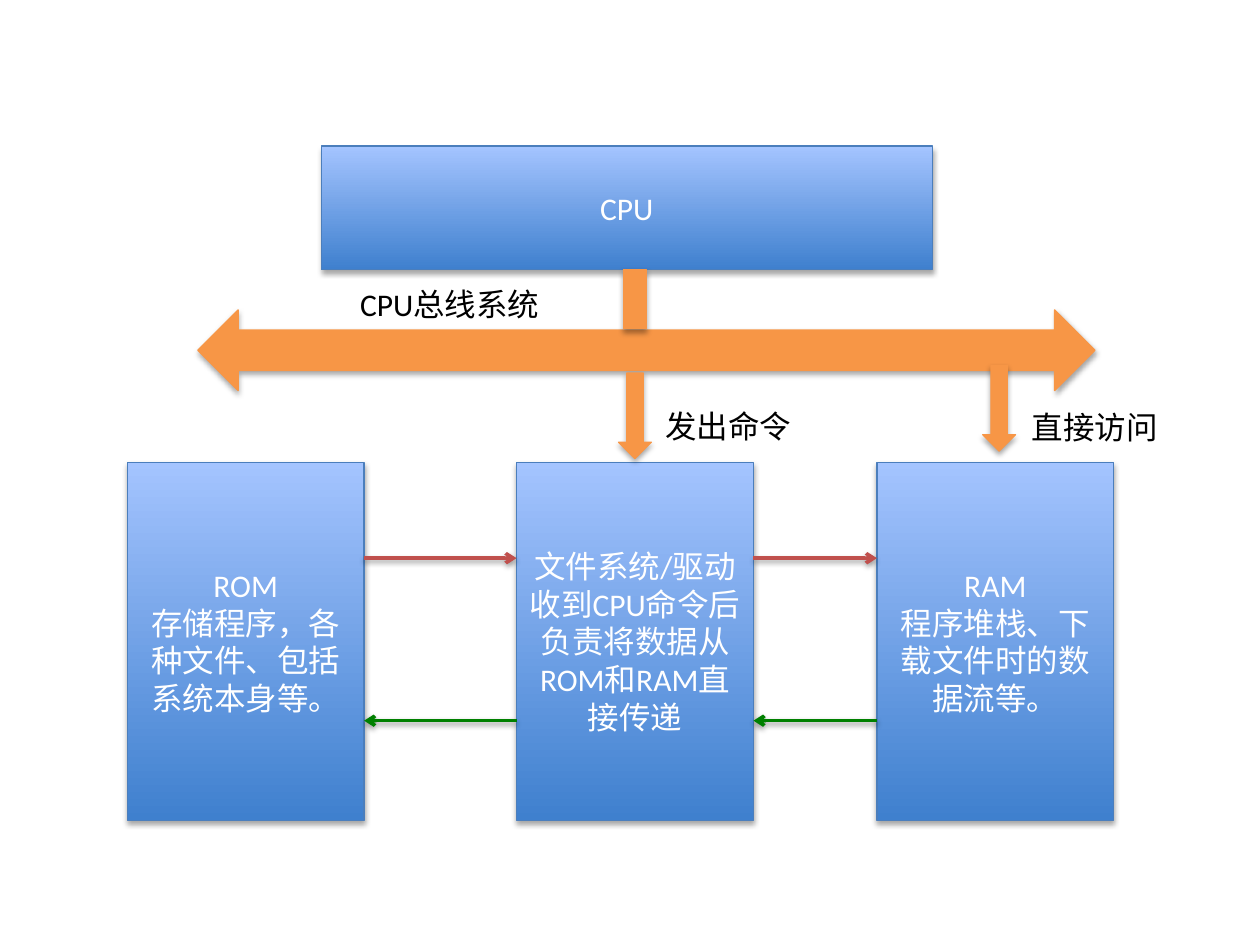
from lxml import etree
from pptx import Presentation
from pptx.dml.color import RGBColor
from pptx.enum.shapes import MSO_CONNECTOR, MSO_SHAPE
from pptx.enum.text import MSO_ANCHOR, PP_ALIGN
from pptx.oxml.ns import qn
from pptx.util import Inches, Pt

RECT = MSO_SHAPE.RECTANGLE
DOWN_ARROW = MSO_SHAPE.DOWN_ARROW
BUS_ARROW = MSO_SHAPE.LEFT_RIGHT_ARROW
STRAIGHT = MSO_CONNECTOR.STRAIGHT

COLORS = {
    "block_dark": "3F80CE",
    "block_light": "A4C4FF",
    "block_line": "4B7EBC",
    "bus": "F79646",
    "load": "C0504D",
    "store": "008000",
    "white": "FFFFFF",
    "black": "000000",
}
FONT = "Calibri"
BLOCK_TOP, BLOCK_WIDTH, BLOCK_HEIGHT = 3.67, 1.88, 2.84
ROM_LEFT, DRIVER_LEFT, RAM_LEFT = 1.01, 4.1, 6.96
LOAD_Y, STORE_Y = 4.43, 5.72


def color(name):
    return RGBColor.from_string(COLORS[name])


def add_shadow(effects, distance, opacity):
    """Put a soft downward shadow into an effect list."""
    shadow = etree.SubElement(
        effects, qn("a:outerShdw"), blurRad="40000", dist=str(distance),
        dir="5400000", rotWithShape="0")
    tint = etree.SubElement(shadow, qn("a:srgbClr"), val=COLORS["black"])
    etree.SubElement(tint, qn("a:alpha"), val=str(opacity * 1000))


def write(frame, lines, color_name, align):
    frame.word_wrap = True
    for index, line in enumerate(lines):
        para = frame.paragraphs[0] if index == 0 else frame.add_paragraph()
        para.alignment = align
        span = para.add_run()
        span.text = line
        span.font.name = FONT
        span.font.size = Pt(18)
        span.font.color.rgb = color(color_name)


def add_shape(page, kind, place, line_name):
    shape = page.shapes.add_shape(kind, *map(Inches, place))
    shape.line.color.rgb = color(line_name)
    shape.line.width = Pt(0.75)
    shape.shadow.inherit = False
    add_shadow(shape._element.spPr.find(qn("a:effectLst")), 23000, 35)
    return shape


def add_block(page, place, lines):
    block = add_shape(page, RECT, place, "block_line")
    block.fill.gradient()
    block.fill.gradient_angle = 90
    for stop, name, position in zip(block.fill.gradient_stops,
                                    ("block_dark", "block_light"), (0, 1)):
        stop.color.rgb = color(name)
        stop.position = position
    block.text_frame.vertical_anchor = MSO_ANCHOR.MIDDLE
    write(block.text_frame, lines, "white", PP_ALIGN.CENTER)


def add_bus_part(page, kind, place):
    part = add_shape(page, kind, place, "bus")
    part.fill.solid()
    part.fill.fore_color.rgb = color("bus")


def add_flow(page, start, end, y, color_name):
    """Draw a horizontal arrow that ends with an open head."""
    flow = page.shapes.add_connector(
        STRAIGHT, Inches(start), Inches(y), Inches(end), Inches(y))
    flow.line.color.rgb = color(color_name)
    flow.line.width = Pt(2)
    etree.SubElement(flow.line._get_or_add_ln(), qn("a:tailEnd"), type="arrow")
    effects = etree.SubElement(flow._element.spPr, qn("a:effectLst"))
    add_shadow(effects, 20000, 38)


def add_label(page, left, top, width, text):
    box = page.shapes.add_textbox(*map(Inches, (left, top, width, 0.4)))
    write(box.text_frame, [text], "black", PP_ALIGN.LEFT)


def main():
    deck = Presentation()
    deck.slide_width, deck.slide_height = Inches(10), Inches(7.5)
    page = deck.slides.add_slide(deck.slide_layouts[6])

    add_block(page, (2.55, 1.16, 4.85, 0.98), ["CPU"])
    for left, lines in (
        (DRIVER_LEFT, ["文件系统/驱动", "收到CPU命令后负责将数据从ROM和RAM直接传递"]),
        (RAM_LEFT, ["RAM", "程序堆栈、下载文件时的数据流等。"]),
        (ROM_LEFT, ["ROM", "存储程序，各种文件、包括系统本身等。"]),
    ):
        add_block(page, (left, BLOCK_TOP, BLOCK_WIDTH, BLOCK_HEIGHT), lines)

    add_bus_part(page, BUS_ARROW, (1.57, 2.46, 7.12, 0.64))
    add_bus_part(page, DOWN_ARROW, (4.91, 2.96, 0.26, 0.68))
    add_bus_part(page, DOWN_ARROW, (7.8, 2.9, 0.26, 0.68))
    add_bus_part(page, RECT, (4.95, 2.14, 0.18, 0.47))

    for source, target in ((ROM_LEFT, DRIVER_LEFT), (DRIVER_LEFT, RAM_LEFT)):
        edge = source + BLOCK_WIDTH
        add_flow(page, edge, target, LOAD_Y, "load")
        add_flow(page, target, edge, STORE_Y, "store")

    add_label(page, 2.76, 2.21, 1.64, "CPU总线系统")
    add_label(page, 5.18, 3.18, 1.21, "发出命令")
    add_label(page, 8.09, 3.19, 1.21, "直接访问")
    deck.save("out.pptx")


if __name__ == "__main__":
    main()
